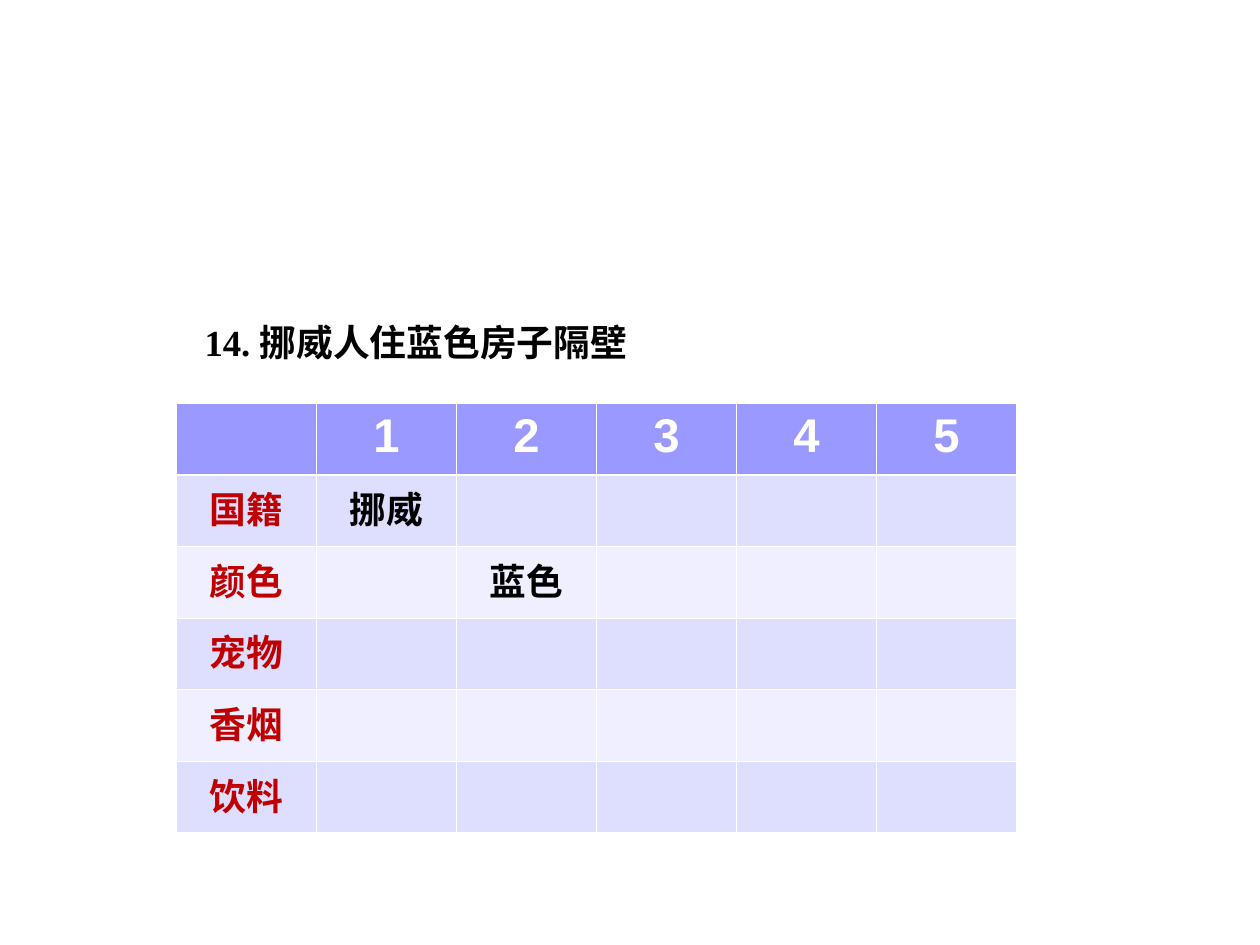
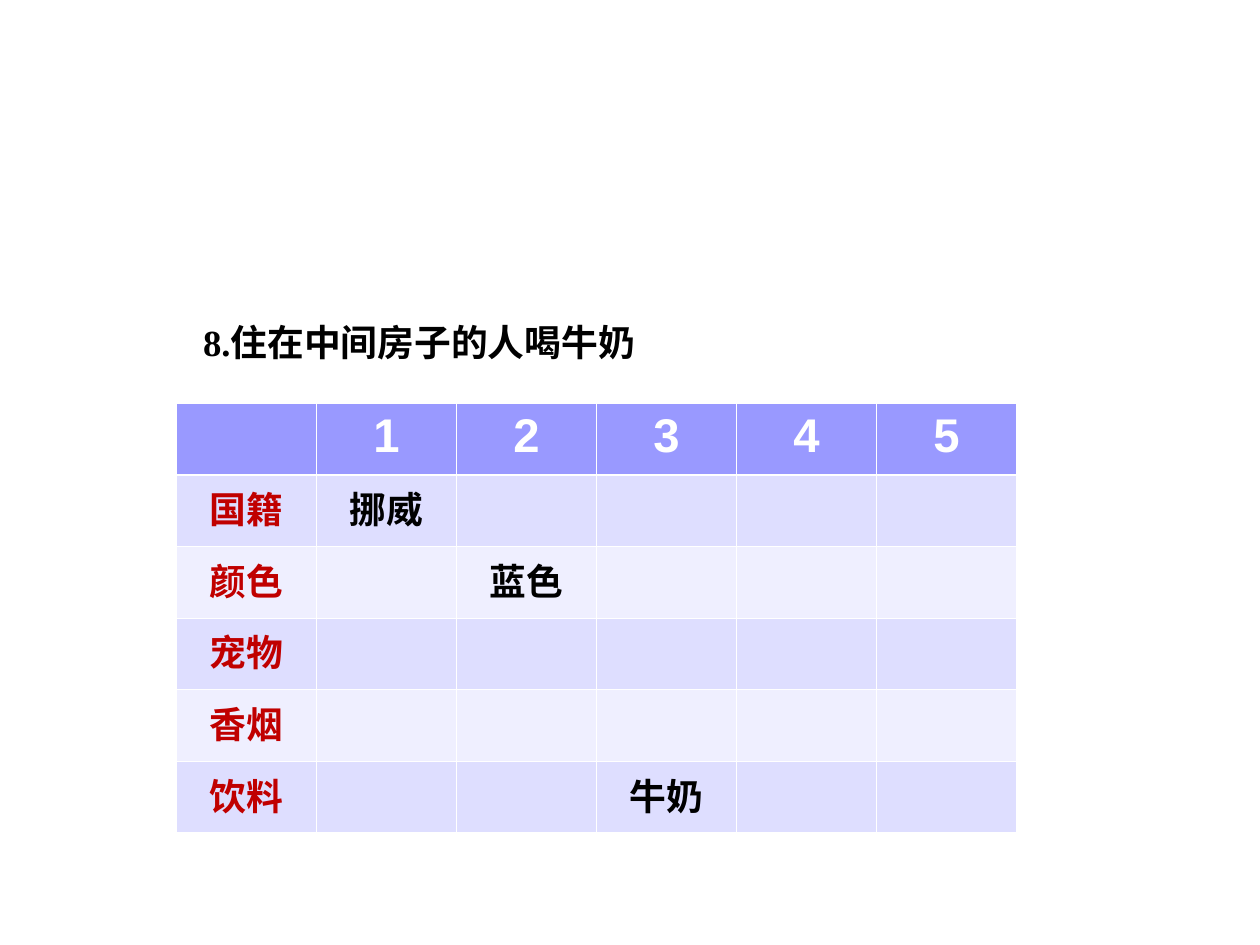
from lxml import etree
from pptx import Presentation
from pptx import util as u
from pptx.dml.color import RGBColor
from pptx.enum import text
from pptx.oxml.ns import qn

COLORS = {
    "header": "9999FF",
    "band_dark": "DEDEFF",
    "band_light": "EFEFFF",
    "border": "FFFFFF",
    "header_text": "FFFFFF",
    "label": "C00000",
    "answer": "000000",
    "clue": "000000",
}
HOUSES = range(1, 6)
ATTRIBUTES = ["国籍", "颜色", "宠物", "香烟", "饮料"]
GRID_LEFT, GRID_TOP, GRID_WIDTH, GRID_HEIGHT = 1.4, 3.2, 6.67, 3.41
THIN, THICK = 0.45, 1.47


def rgb(name):
    return RGBColor.from_string(COLORS[name])


def write(tf, content, size, color, font):
    p = tf.paragraphs[0]
    p.alignment = text.PP_ALIGN.CENTER
    r = p.add_run()
    r.text = content
    r.font.size = u.Pt(size)
    r.font.bold = True
    r.font.name = font
    r.font.color.rgb = rgb(color)


def set_borders(cell, top, bottom):
    """Line all four sides; top and bottom are widths in points."""
    tc_pr = cell._tc.get_or_add_tcPr()
    widths = {"lnL": THIN, "lnR": THIN, "lnT": top, "lnB": bottom}
    for i, (side, width) in enumerate(widths.items()):
        ln = etree.Element(qn("a:" + side), w=str(int(u.Pt(width))))
        fill = etree.SubElement(ln, qn("a:solidFill"))
        etree.SubElement(fill, qn("a:srgbClr"), val=COLORS["border"])
        tc_pr.insert(i, ln)


def add_clue(slide, clue, left, width):
    sp = slide.shapes.title
    sp.left, sp.top = u.Inches(left), u.Inches(2.49)
    sp.width, sp.height = u.Inches(width), u.Inches(0.45)
    tf = sp.text_frame
    tf.word_wrap = False
    tf.auto_size = text.MSO_AUTO_SIZE.NONE
    tf.vertical_anchor = text.MSO_ANCHOR.TOP
    # Without side margins the clue fits its box on one line.
    tf.margin_left = tf.margin_right = 0
    write(tf, clue, 21, "clue", "Times New Roman")


def add_grid(slide, answers):
    """Add the houses table; answers maps (attribute, house) to a word."""
    n_rows, n_cols = len(ATTRIBUTES) + 1, len(HOUSES) + 1
    table = slide.shapes.add_table(
        n_rows, n_cols, u.Inches(GRID_LEFT), u.Inches(GRID_TOP),
        u.Inches(GRID_WIDTH), u.Inches(GRID_HEIGHT)).table

    for row in range(n_rows):
        band = "header" if row == 0 else "band_dark" if row % 2 else "band_light"
        for col in range(n_cols):
            cell = table.cell(row, col)
            cell.margin_left = cell.margin_right = u.Inches(0.08)
            cell.fill.solid()
            cell.fill.fore_color.rgb = rgb(band)
            set_borders(cell, THICK if row == 1 else THIN,
                        THICK if row == 0 else THIN)

    for house in HOUSES:
        write(table.cell(0, house).text_frame, str(house), 27, "header_text", "Arial")
    for row, attribute in enumerate(ATTRIBUTES, 1):
        write(table.cell(row, 0).text_frame, attribute, 21, "label", "Arial")
    for (attribute, house), word in answers.items():
        cell = table.cell(ATTRIBUTES.index(attribute) + 1, house)
        write(cell.text_frame, word, 21, "answer", "Arial")


def add_step(prs, clue, left, width, answers):
    slide = prs.slides.add_slide(prs.slide_layouts[5])
    add_grid(slide, answers)
    add_clue(slide, clue, left, width)


def main():
    prs = Presentation()
    prs.slide_width, prs.slide_height = u.Inches(10), u.Inches(7.5)

    answers = {("国籍", 1): "挪威", ("颜色", 2): "蓝色"}
    add_step(prs, "14. 挪威人住蓝色房子隔壁", 1.49, 3.62, answers)
    answers[("饮料", 3)] = "牛奶"
    add_step(prs, "8.住在中间房子的人喝牛奶", 1.48, 3.69, answers)

    prs.save("out.pptx")


if __name__ == "__main__":
    main()
